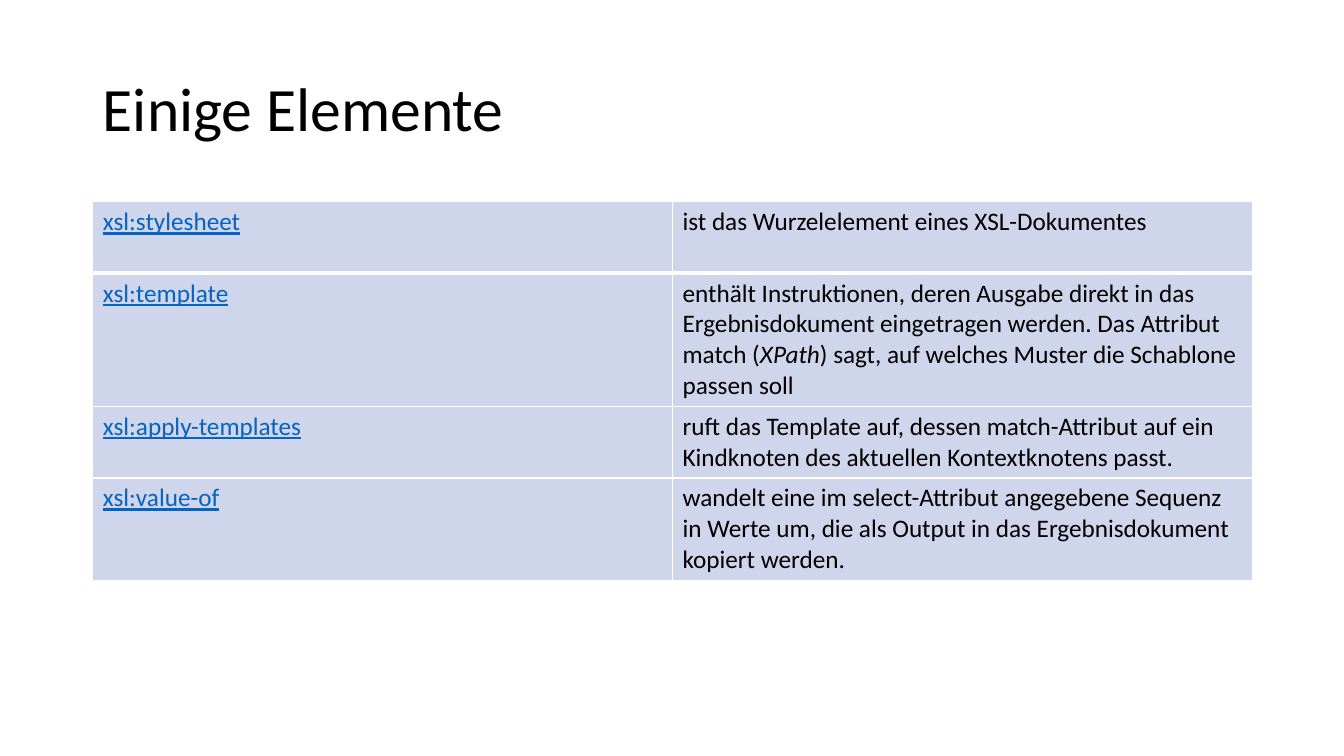
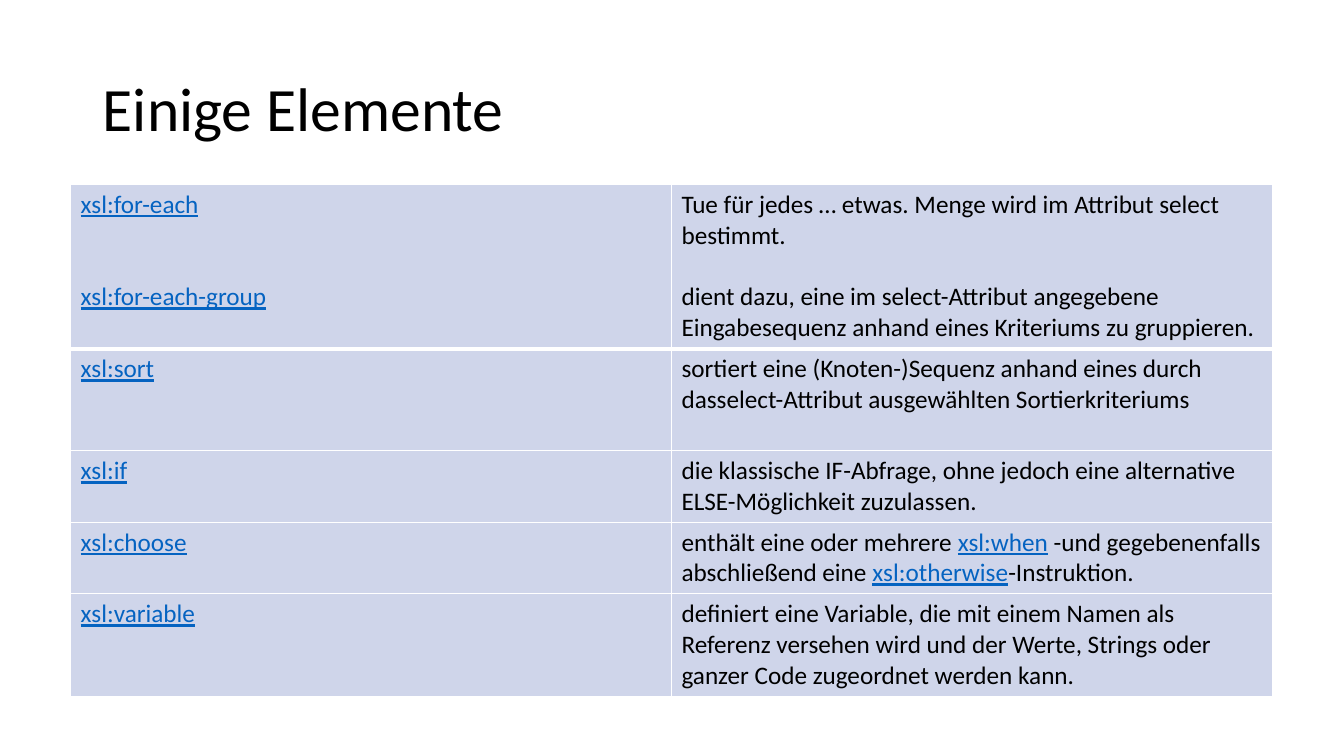
from lxml import etree
from pptx import Presentation
from pptx.dml.color import RGBColor
from pptx.enum import text
from pptx.oxml import ns
from pptx.util import Inches, Pt

BLACK = RGBColor(0x00, 0x00, 0x00)
WHITE = RGBColor(0xFF, 0xFF, 0xFF)
LINK_BLUE = RGBColor(0x05, 0x63, 0xC1)
CELL_BLUE = RGBColor(0xCF, 0xD5, 0xEA)
FONT = "Calibri"
TITLE_BOX = (0.92, 0.38, 11.5, 1.45)
LINE_HEIGHT = 22
PLAIN, LINK, ITALIC = range(3)


def add_run(paragraph, wording, size, style=PLAIN):
    run = paragraph.add_run()
    run.text = wording
    run.font.name = FONT
    run.font.size = Pt(size)
    run.font.bold = False
    run.font.italic = style == ITALIC
    run.font.underline = style == LINK
    run.font.color.rgb = LINK_BLUE if style == LINK else BLACK


def place_title(slide, wording, box):
    title = slide.shapes.title
    title.left, title.top, title.width, title.height = map(Inches, box)
    title.text_frame.vertical_anchor = text.MSO_ANCHOR.MIDDLE
    heading = title.text_frame.paragraphs[0]
    heading.alignment = text.PP_ALIGN.LEFT
    heading.line_spacing = 0.9
    add_run(heading, wording, 44)


def draw_borders(cell, widths):
    properties = cell._tc.get_or_add_tcPr()
    for side, width in zip("LRTB", widths):
        line = etree.SubElement(properties, ns.qn(f"a:ln{side}"), w=str(Pt(width)))
        fill = etree.SubElement(line, ns.qn("a:solidFill"))
        etree.SubElement(fill, ns.qn("a:srgbClr"), val=str(WHITE))


def fill_cell(cell, paragraphs, gap_lines):
    for index, runs in enumerate(paragraphs):
        frame = cell.text_frame
        paragraph = frame.add_paragraph() if index else frame.paragraphs[0]
        if index:
            paragraph.space_before = Pt(gap_lines * LINE_HEIGHT)
        for wording, style in runs:
            add_run(paragraph, wording, 18, style)


def place_element_table(slide, entries, box):
    left, top, width = box
    height = sum(entry[0] for entry in entries)
    frame = slide.shapes.add_table(
        len(entries), 2, *map(Inches, (left, top, width, height)))
    table = frame.table
    table.first_row = False
    table.horz_banding = False
    for column in table.columns:
        column.width = Inches(width / 2)
    for index, (row_height, elements, descriptions) in enumerate(entries):
        table.rows[index].height = Inches(row_height)
        names = [[(element, LINK)] for element in elements]
        for column, (paragraphs, gap) in enumerate(((names, 2), (descriptions, 1))):
            cell = table.cell(index, column)
            draw_borders(cell, (1, 1, 3 if index == 1 else 1, 3 if index == 0 else 1))
            cell.fill.solid()
            cell.fill.fore_color.rgb = CELL_BLUE
            fill_cell(cell, paragraphs, gap)


def add_element_slide(deck, entries, table_box):
    slide = deck.slides.add_slide(deck.slide_layouts[5])
    place_title(slide, "Einige Elemente", TITLE_BOX)
    place_element_table(slide, entries, table_box)


def plain(wording):
    return [(wording, PLAIN)]


BASIC_ELEMENTS = [
    (0.71, ["xsl:stylesheet"], [plain("ist das Wurzelelement eines XSL-Dokumentes")]),
    (1.31, ["xsl:template"], [[
        ("enthält Instruktionen, deren Ausgabe direkt in das Ergebnisdokument "
         "eingetragen werden. Das Attribut match (", PLAIN),
        ("XPath", ITALIC),
        (") sagt, auf welches Muster die Schablone passen soll", PLAIN)]]),
    (0.71, ["xsl:apply-templates"], [plain(
        "ruft das Template auf, dessen match-Attribut auf ein Kindknoten "
        "des aktuellen Kontextknotens passt.")]),
    (1.01, ["xsl:value-of"], [plain(
        "wandelt eine im select-Attribut angegebene Sequenz in Werte um, "
        "die als Output in das Ergebnisdokument kopiert werden.")]),
]

CONTROL_ELEMENTS = [
    (1.63, ["xsl:for-each", "xsl:for-each-group"], [
        plain("Tue für jedes … etwas. Menge wird im Attribut select bestimmt."),
        plain("dient dazu, eine im select-Attribut angegebene Eingabesequenz "
              "anhand eines Kriteriums zu gruppieren.")]),
    (1.01, ["xsl:sort"], [plain(
        "sortiert eine (Knoten-)Sequenz anhand eines durch "
        "dasselect-Attribut ausgewählten Sortierkriteriums")]),
    (0.71, ["xsl:if"], [plain(
        "die klassische IF-Abfrage, ohne jedoch eine alternative "
        "ELSE-Möglichkeit zuzulassen.")]),
    (0.71, ["xsl:choose"], [[
        ("enthält eine oder mehrere ", PLAIN),
        ("xsl:when", LINK),
        (" -und gegebenenfalls abschließend eine ", PLAIN),
        ("xsl:otherwise", LINK),
        ("-Instruktion.", PLAIN)]]),
    (1.01, ["xsl:variable"], [plain(
        "definiert eine Variable, die mit einem Namen als Referenz versehen wird "
        "und der Werte, Strings oder ganzer Code zugeordnet werden kann.")]),
]

deck = Presentation()
deck.slide_width, deck.slide_height = Inches(13.33), Inches(7.5)
add_element_slide(deck, BASIC_ELEMENTS, (0.92, 2, 11.5))
add_element_slide(deck, CONTROL_ELEMENTS, (0.7, 1.83, 11.92))
deck.save("out.pptx")
